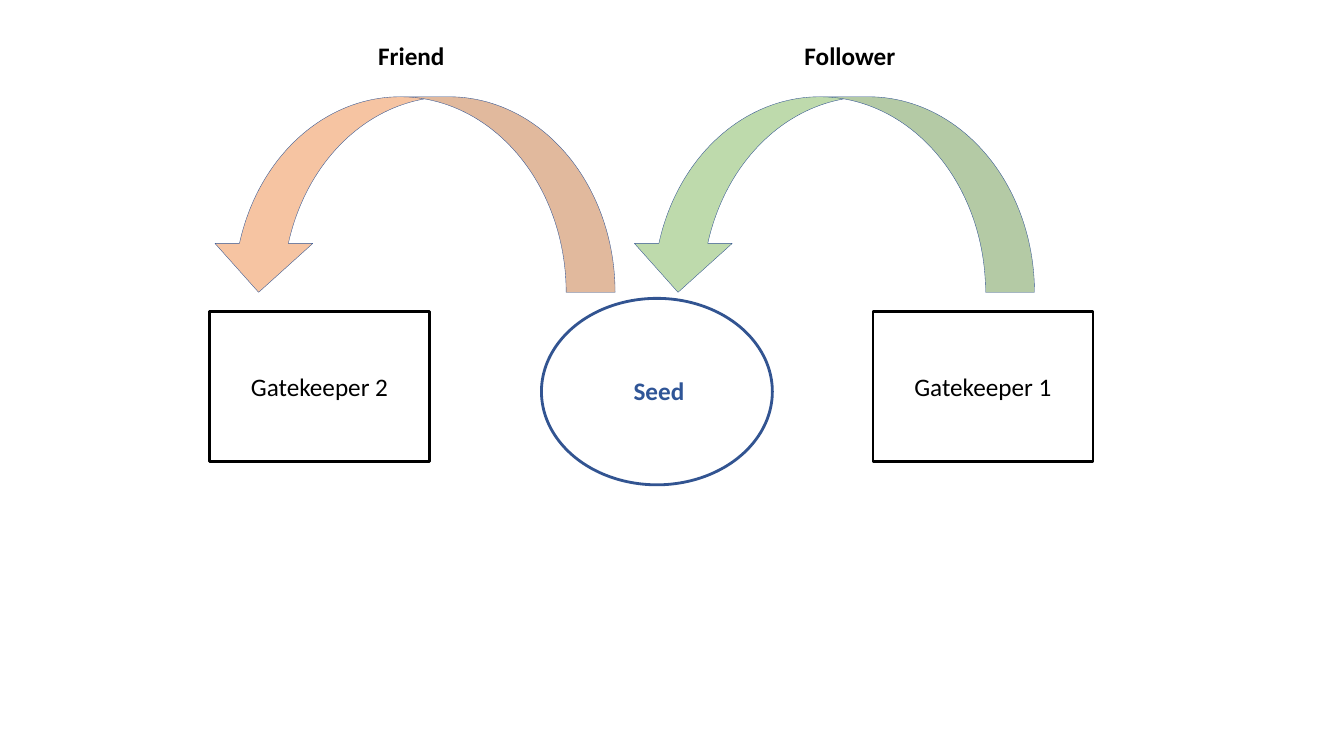
from lxml.etree import SubElement
from pptx import Presentation
from pptx.dml.color import RGBColor
from pptx.enum.shapes import MSO_SHAPE as Shape
from pptx.enum.text import MSO_AUTO_SIZE as AutoSize, PP_ALIGN as Align
from pptx.oxml.ns import qn
from pptx.util import Inches, Pt

BLACK = RGBColor(0x00, 0x00, 0x00)
NAVY = RGBColor(0x32, 0x54, 0x91)
BLUE = RGBColor(0x2F, 0x55, 0x97)
ORANGE = RGBColor(0xED, 0x7D, 0x31)
GREEN = RGBColor(0x70, 0xAD, 0x47)

SLIDE_WIDTH, SLIDE_HEIGHT = 13.33, 7.5
SEED = ("Seed", 5.37, 2.96, 2.29, 1.85)
GATEKEEPERS = [("Gatekeeper 1", 8.66), ("Gatekeeper 2", 2.08)]
GATE_TOP, GATE_WIDTH, GATE_HEIGHT = 3.09, 2.18, 1.49
RELATIONS = [("Friend", 3.0, 2.08, ORANGE), ("Follower", 7.35, 6.24, GREEN)]
ARROW_TOP, ARROW_WIDTH, ARROW_HEIGHT = 0.96, 4.02, 1.94
ARROW_OPACITY = 45
LABEL_TOP, LABEL_WIDTH, LABEL_HEIGHT = 0.35, 2.16, 0.4
SEED_LABEL_WIDTH, GATE_LABEL_WIDTH = 1.19, 1.58


def add_outline(page, kind, bounds, color, weight):
    shape = page.shapes.add_shape(kind, *map(Inches, bounds))
    shape.shadow.inherit = False
    shape.fill.background()
    shape.line.color.rgb = color
    shape.line.width = Pt(weight)
    return shape


def add_label(page, text, left, top, width, color=BLACK, bold=True, wrap=True):
    box = page.shapes.add_textbox(*map(Inches, (left, top, width, LABEL_HEIGHT)))
    frame = box.text_frame
    frame.word_wrap = wrap
    frame.auto_size = AutoSize.SHAPE_TO_FIT_TEXT
    para = frame.paragraphs[0]
    para.text = text
    para.alignment = Align.CENTER if wrap else Align.LEFT
    para.font.name = "Calibri"
    para.font.size = Pt(18)
    para.font.bold = bold
    para.font.color.rgb = color


def add_arrow(page, left, color):
    bounds = (left, ARROW_TOP, ARROW_WIDTH, ARROW_HEIGHT)
    arrow = add_outline(page, Shape.CURVED_UP_ARROW, bounds, NAVY, 0.25)
    arrow.rotation = 180
    arrow.fill.solid()
    arrow.fill.fore_color.rgb = color
    fill_color = arrow.fill._xPr.find(qn("a:solidFill"))[0]
    SubElement(fill_color, qn("a:alpha"), val=str(ARROW_OPACITY * 1000))


def main():
    deck = Presentation()
    deck.slide_width, deck.slide_height = Inches(SLIDE_WIDTH), Inches(SLIDE_HEIGHT)
    page = deck.slides.add_slide(deck.slide_layouts[6])

    name, left, top, width, height = SEED
    add_outline(page, Shape.OVAL, (left, top, width, height), NAVY, 2)
    label_left = left + (width - SEED_LABEL_WIDTH) / 2 + 0.02
    label_top = top + (height - LABEL_HEIGHT) / 2 - 0.01
    add_label(page, name, label_left, label_top, SEED_LABEL_WIDTH, BLUE)

    for name, left in GATEKEEPERS:
        bounds = (left, GATE_TOP, GATE_WIDTH, GATE_HEIGHT)
        add_outline(page, Shape.RECTANGLE, bounds, BLACK, 1.75)
        label_left = left + (GATE_WIDTH - GATE_LABEL_WIDTH) / 2 + 0.01
        label_top = GATE_TOP + (GATE_HEIGHT - LABEL_HEIGHT) / 2
        add_label(page, name, label_left, label_top, GATE_LABEL_WIDTH, bold=False, wrap=False)

    for name, label_left, arrow_left, color in RELATIONS:
        add_arrow(page, arrow_left, color)
        add_label(page, name, label_left, LABEL_TOP, LABEL_WIDTH)

    deck.save("out.pptx")


if __name__ == "__main__":
    main()
